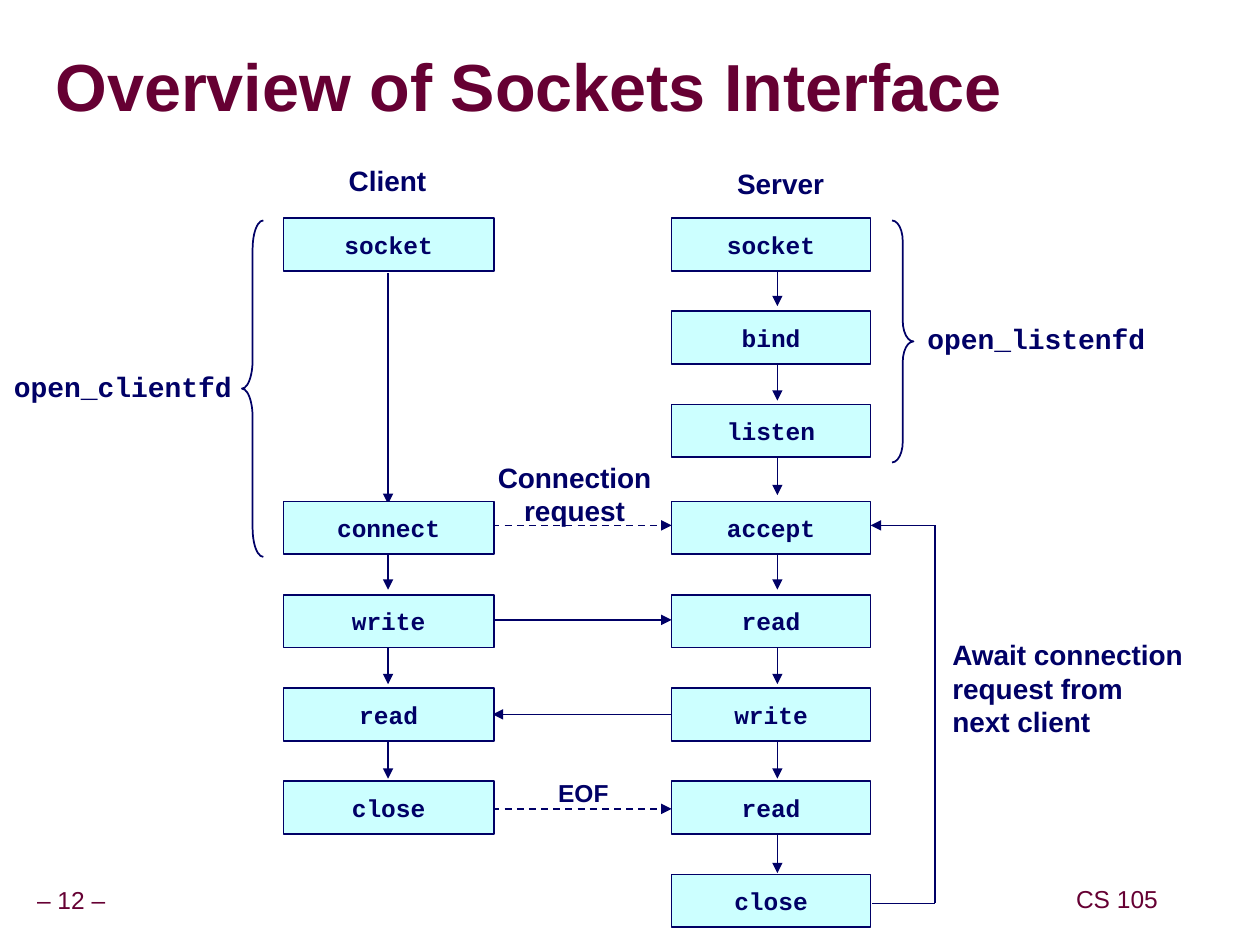
from dataclasses import dataclass

from lxml.etree import SubElement
from pptx import Presentation
from pptx.dml.color import RGBColor
from pptx.enum.dml import MSO_LINE
from pptx.enum.shapes import MSO_CONNECTOR, MSO_SHAPE
from pptx.enum.text import MSO_ANCHOR, MSO_AUTO_SIZE, PP_ALIGN
from pptx.oxml.ns import qn
from pptx.shapes.autoshape import Shape
from pptx.slide import Slide
from pptx.util import Inches, Pt

NAVY = RGBColor(0x00, 0x00, 0x66)
MAROON = RGBColor(0x66, 0x00, 0x33)
PALE_CYAN = RGBColor(0xCC, 0xFF, 0xFF)
SANS = "Arial"
MONO = "Courier New"

BOX_HEIGHT = 0.42
ROW_PITCH = 0.74
SETUP_TOP = 1.73
SESSION_TOP = 3.98
SETUP_ROWS = 3
STEP_PITCH = 0.75
STEP_LENGTH = 0.33


@dataclass
class Label:
    left: float
    top: float
    width: float
    height: float
    lines: tuple[str, ...]
    size: int = 16
    font: str = SANS
    color: RGBColor = NAVY
    bold: bool = True
    align: PP_ALIGN = PP_ALIGN.CENTER
    spacing: float = 1.0
    side_inset: float = 0.1
    end_inset: float = 0.05
    wrap: bool = False


@dataclass
class Line:
    start: tuple[float, float]
    end: tuple[float, float]
    arrow: bool = True
    dashed: bool = False


@dataclass
class Column:
    left: float
    width: float
    calls: dict[int, str]


@dataclass
class Brace:
    kind: MSO_SHAPE
    left: float
    height: float
    curvature: float


LABELS = [
    Label(-0.09, 7, 1.31, 0.31, ("– 12 –",), 14, color=MAROON, bold=False,
          spacing=0.9, side_inset=0.05),
    Label(8.46, 6.99, 0.81, 0.31, ("CS 105",), 14, color=MAROON, bold=False,
          spacing=0.9, side_inset=0.05),
    Label(0.44, 0.27, 7.81, 0.9, ("Overview of Sockets Interface",), 38, color=MAROON,
          align=PP_ALIGN.LEFT, spacing=0.87, side_inset=0, end_inset=0, wrap=True),
    Label(2.65, 1.25, 0.85, 0.37, ("Client",)),
    Label(5.75, 1.27, 0.89, 0.37, ("Server",)),
    Label(3.85, 3.6, 1.42, 0.64, ("Connection", "request")),
    Label(4.33, 6.12, 0.6, 0.34, ("EOF",), 14),
    Label(7.46, 5.01, 2.03, 0.9, ("Await connection", "request from", "next client"),
          align=PP_ALIGN.LEFT),
    Label(7.26, 2.5, 1.93, 0.37, ("open_listenfd",), font=MONO),
    Label(0.01, 2.88, 1.93, 0.37, ("open_clientfd",), font=MONO),
]

COLUMNS = [
    Column(2.25, 1.67, {0: "socket", 3: "connect", 4: "write", 5: "read", 6: "close"}),
    Column(5.33, 1.58, dict(enumerate(
        ("socket", "bind", "listen", "accept", "read", "write", "read", "close")))),
]

MESSAGES = [
    Line((3.33, 4.17), (5.33, 4.17), dashed=True),
    Line((3.33, 6.42), (5.33, 6.42), dashed=True),
    Line((3.92, 4.92), (5.33, 4.92)),
    Line((5.33, 5.67), (3.91, 5.67)),
]

AWAIT_LOOP = [
    Line((6.92, 7.17), (7.42, 7.17), arrow=False),
    Line((7.42, 7.17), (7.42, 4.17), arrow=False),
    Line((7.42, 4.17), (6.91, 4.17)),
]

BRACES = [
    Brace(MSO_SHAPE.RIGHT_BRACE, 7.08, 1.92, 0.96),
    Brace(MSO_SHAPE.LEFT_BRACE, 1.92, 2.67, 1.33),
]


def row_top(row: int) -> float:
    """Set-up calls and session calls form two evenly pitched groups."""
    if row < SETUP_ROWS:
        return SETUP_TOP + row * ROW_PITCH
    return SESSION_TOP + (row - SETUP_ROWS) * ROW_PITCH


def step_arrows(x: float, first_top: float, count: int) -> list[Line]:
    tops = [first_top + step * STEP_PITCH for step in range(count)]
    return [Line((x, top), (x, top + STEP_LENGTH)) for top in tops]


def write_text(shape: Shape, label: Label) -> None:
    frame = shape.text_frame
    frame.word_wrap = label.wrap
    frame.vertical_anchor = MSO_ANCHOR.MIDDLE
    frame.margin_left = frame.margin_right = Inches(label.side_inset)
    frame.margin_top = frame.margin_bottom = Inches(label.end_inset)
    for index, line in enumerate(label.lines):
        paragraph = frame.add_paragraph() if index else frame.paragraphs[0]
        paragraph.alignment = label.align
        paragraph.line_spacing = label.spacing
        run = paragraph.add_run()
        run.text = line
        run.font.name = label.font
        run.font.size = Pt(label.size)
        run.font.bold = label.bold
        run.font.color.rgb = label.color


def add_label(slide: Slide, label: Label) -> None:
    box = slide.shapes.add_textbox(Inches(label.left), Inches(label.top),
                                   Inches(label.width), Inches(label.height))
    write_text(box, label)
    if not label.wrap:
        box.text_frame.auto_size = MSO_AUTO_SIZE.SHAPE_TO_FIT_TEXT


def add_outlined(slide: Slide, kind: MSO_SHAPE, left: float, top: float,
                 width: float, height: float) -> Shape:
    shape = slide.shapes.add_shape(kind, Inches(left), Inches(top),
                                   Inches(width), Inches(height))
    shape.shadow.inherit = False
    shape.line.color.rgb = NAVY
    shape.line.width = Pt(1)
    return shape


def add_call(slide: Slide, column: Column, row: int, name: str) -> None:
    label = Label(column.left, row_top(row), column.width, BOX_HEIGHT, (name,), 14, MONO)
    box = add_outlined(slide, MSO_SHAPE.RECTANGLE, label.left, label.top,
                       label.width, label.height)
    box.fill.solid()
    box.fill.fore_color.rgb = PALE_CYAN
    write_text(box, label)


def add_brace(slide: Slide, brace: Brace) -> None:
    shape = add_outlined(slide, brace.kind, brace.left, 1.75, 0.17, brace.height)
    shape.fill.background()
    shape.adjustments[0] = brace.curvature


def add_line(slide: Slide, line: Line) -> None:
    connector = slide.shapes.add_connector(
        MSO_CONNECTOR.STRAIGHT, *(Inches(value) for value in line.start + line.end))
    connector.line.color.rgb = NAVY
    connector.line.width = Pt(1)
    if line.dashed:
        connector.line.dash_style = MSO_LINE.DASH
    if line.arrow:
        SubElement(connector.line._get_or_add_ln(), qn("a:tailEnd"), type="triangle")
    SubElement(connector._element.spPr, qn("a:effectLst"))


def main() -> None:
    presentation = Presentation()
    presentation.slide_width = Inches(10)
    presentation.slide_height = Inches(7.5)
    slide = presentation.slides.add_slide(presentation.slide_layouts[6])

    client_steps = [Line((3.08, 2.17), (3.08, 4)), *step_arrows(3.08, 4.35, 3)]
    for line in client_steps + step_arrows(6.17, 2.1, 7) + MESSAGES:
        add_line(slide, line)
    for column in COLUMNS:
        for row, name in column.calls.items():
            add_call(slide, column, row, name)
    for line in AWAIT_LOOP:
        add_line(slide, line)
    for brace in BRACES:
        add_brace(slide, brace)
    for label in LABELS:
        add_label(slide, label)

    presentation.save("out.pptx")


if __name__ == "__main__":
    main()
